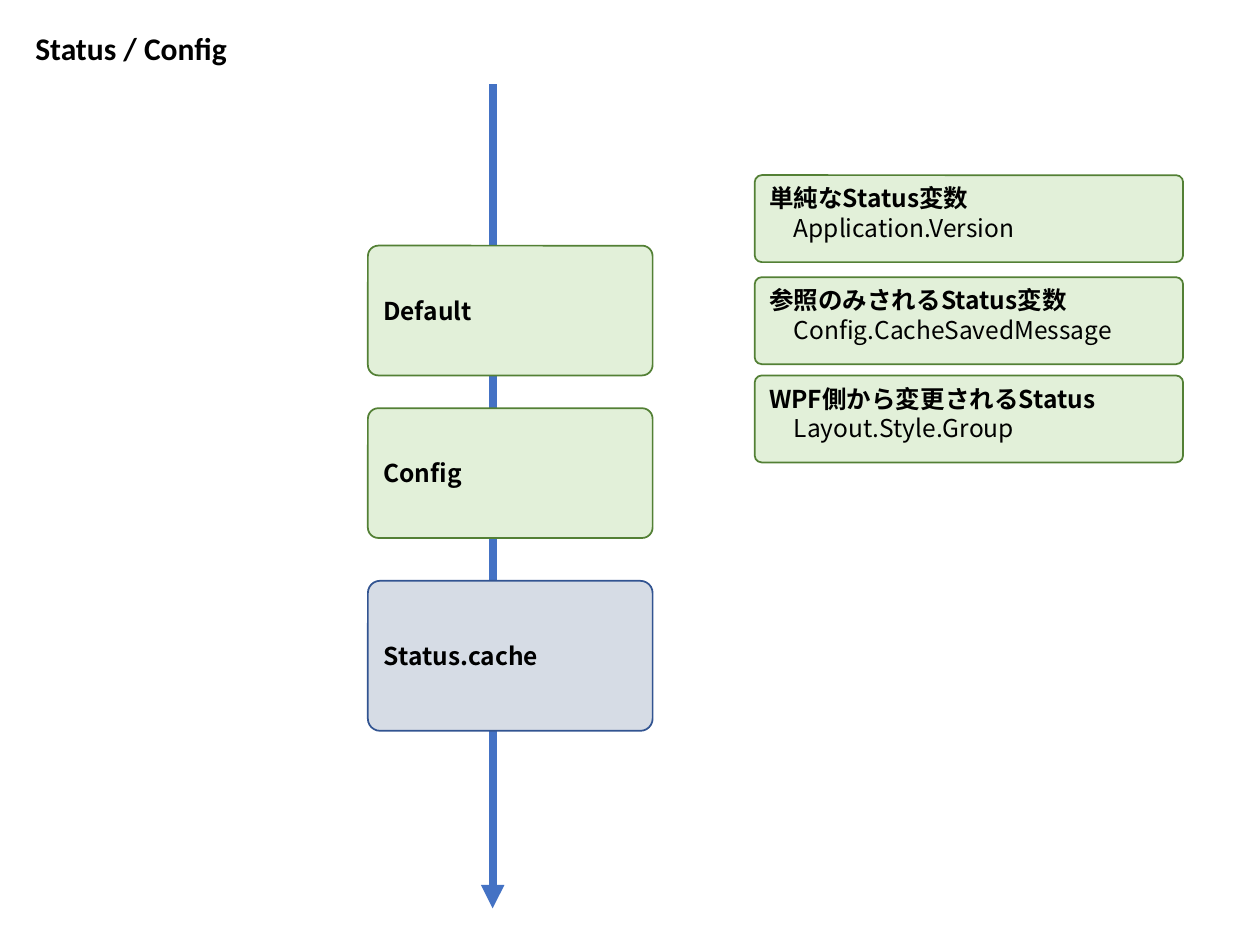
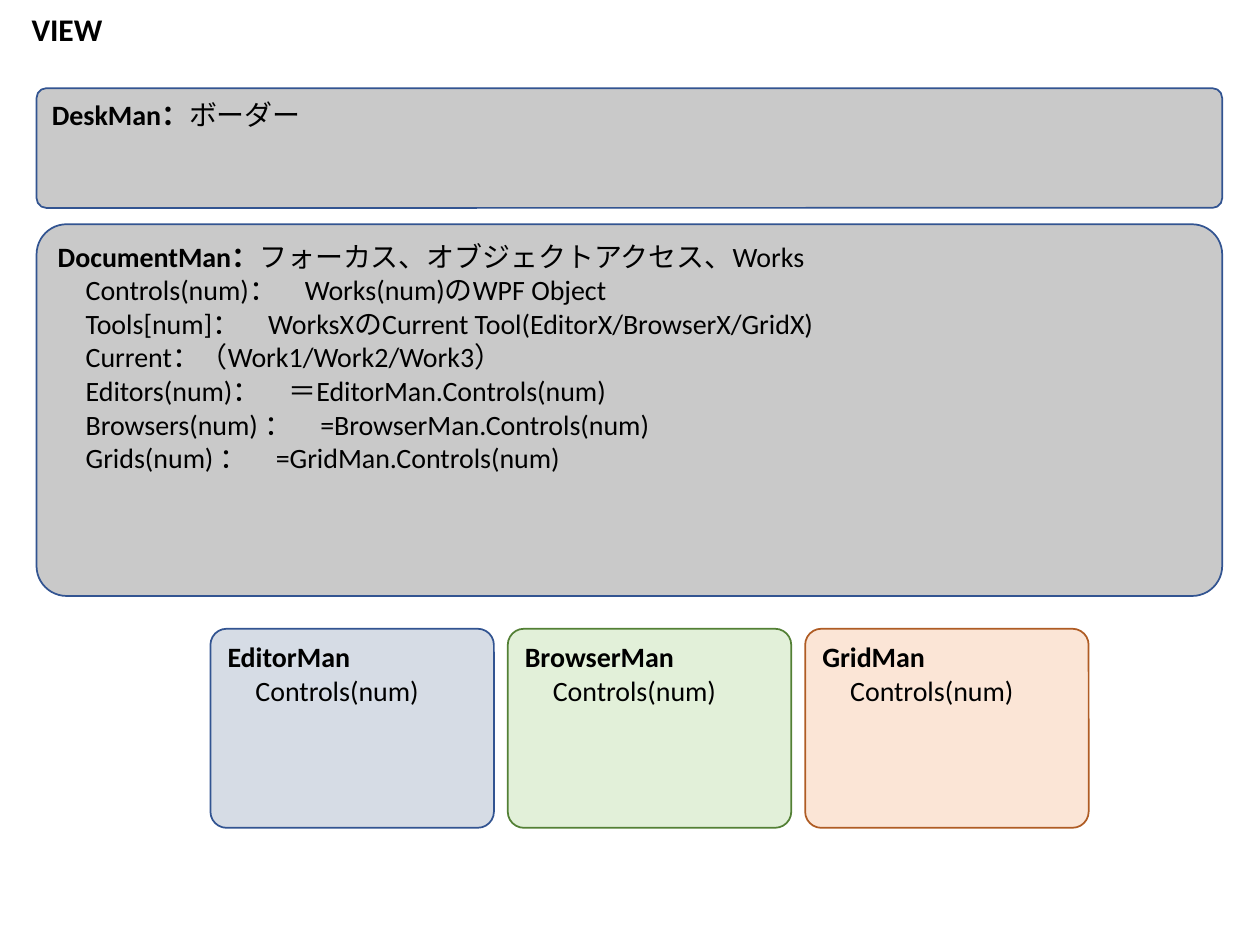
import pptx
import pptx.dml.color
import pptx.enum.shapes
import pptx.enum.text
import pptx.oxml.ns
import pptx.util
from lxml import etree

Inches, Pt = pptx.util.Inches, pptx.util.Pt
LEFT = pptx.enum.text.PP_ALIGN.LEFT
TOP = pptx.enum.text.MSO_ANCHOR.TOP
MIDDLE = pptx.enum.text.MSO_ANCHOR.MIDDLE
TITLE_ONLY = 5

# (fill, outline) of each kind of box
GREEN = ("E2F0D9", "538035")
BLUE = ("D6DCE5", "325491")
ORANGE = ("FBE5D6", "AF5C24")
GREY = ("C9C9C9", "325491")


def rgb(hex_string):
    return pptx.dml.color.RGBColor.from_string(hex_string)


class Deck:
    text_color = "000000"
    latin = "Calibri"
    cjk = "Noto Sans CJK JP"
    corner = 0.081

    def __init__(self):
        self.prs = pptx.Presentation()
        self.prs.slide_width, self.prs.slide_height = Inches(10), Inches(7.5)
        self.s = None

    def style(self, p, font, size, bold=None):
        p.alignment = LEFT
        p.font.name, p.font.size, p.font.bold = font, Pt(size), bold
        p.font.color.rgb = rgb(self.text_color)

    def slide(self, title, left, top):
        """Start a slide and place its title."""
        self.s = self.prs.slides.add_slide(self.prs.slide_layouts[TITLE_ONLY])
        sp = self.s.shapes.title
        sp.left, sp.top = Inches(left), Inches(top)
        sp.width, sp.height = Inches(5), Inches(0.4)
        tf = sp.text_frame
        tf.text = title
        tf.vertical_anchor = TOP
        tf.auto_size = pptx.enum.text.MSO_AUTO_SIZE.NONE
        self.style(tf.paragraphs[0], self.latin, 18, True)

    def box(self, left, top, width, height, colors, head, note="", lines=(),
            font=latin, size=16, anchor=TOP):
        """Rounded box: bold head with a plain note, then plain lines."""
        sp = self.s.shapes.add_shape(
            pptx.enum.shapes.MSO_SHAPE.ROUNDED_RECTANGLE,
            Inches(left), Inches(top), Inches(width), Inches(height))
        sp.adjustments[0] = self.corner
        sp.shadow.inherit = False
        fill, outline = colors
        sp.fill.solid()
        sp.fill.fore_color.rgb = rgb(fill)
        sp.line.color.rgb = rgb(outline)
        sp.line.width = Pt(1)
        tf = sp.text_frame
        tf.word_wrap = True
        tf.vertical_anchor = anchor
        p = tf.paragraphs[0]
        self.style(p, font, size)
        for text, bold in ((head, True), (note, False)):
            if text:
                r = p.add_run()
                r.text, r.font.bold = text, bold
        for line in lines:
            p = tf.add_paragraph()
            p.text = line
            self.style(p, font, size, False)

    def arrow(self, x, top, bottom, color, width):
        """Vertical arrow pointing down."""
        c = self.s.shapes.add_connector(
            pptx.enum.shapes.MSO_CONNECTOR.STRAIGHT,
            Inches(x), Inches(top), Inches(x), Inches(bottom))
        c.line.color.rgb = rgb(color)
        c.line.width = Pt(width)
        qn = pptx.oxml.ns.qn
        etree.SubElement(c.line._get_or_add_ln(), qn("a:tailEnd"), type="triangle")
        etree.SubElement(c._element.spPr, qn("a:effectLst"))


def status_slide(deck):
    deck.slide("Status / Config", 0.18, 0.18)

    # Flow from defaults to cache
    deck.arrow(3.91, 0.67, 7.21, "4472C4", 4.5)
    for head, top, height, colors in (("Default", 1.95, 1.03, GREEN),
                                      ("Config", 3.24, 1.03, GREEN),
                                      ("Status.cache", 4.61, 1.19, BLUE)):
        deck.box(2.92, top, 2.26, height, colors, head,
                 font=deck.cjk, size=14, anchor=MIDDLE)

    # Kinds of status variable
    for top, head, example in (
            (1.39, "単純なStatus変数", "　Application.Version"),
            (2.2, "参照のみされるStatus変数", "　Config.CacheSavedMessage"),
            (2.98, "WPF側から変更されるStatus", "　Layout.Style.Group")):
        deck.box(5.99, top, 3.4, 0.69, GREEN, head, lines=[example],
                 font=deck.cjk, size=14)


def view_slide(deck):
    deck.slide("VIEW", 0.15, 0.03)

    # Full-width managers
    deck.box(0.29, 0.7, 9.41, 0.95, GREY, "DeskMan：", "ボーダー")
    deck.box(0.29, 1.78, 9.41, 2.95, GREY, "DocumentMan：",
             "フォーカス、オブジェクトアクセス、Works", [
                 "　Controls(num)：　Works(num)のWPF Object",
                 "　Tools[num]：　WorksXのCurrent Tool(EditorX/BrowserX/GridX)",
                 "　Current：（Work1/Work2/Work3）",
                 "　Editors(num)：　＝EditorMan.Controls(num)",
                 "　Browsers(num) ：　=BrowserMan.Controls(num)",
                 "　Grids(num) ：　=GridMan.Controls(num)"])

    # Row of tool managers
    tools = (("EditorMan", BLUE), ("BrowserMan", GREEN), ("GridMan", ORANGE))
    for i, (head, colors) in enumerate(tools):
        deck.box(1.67 + 2.36 * i, 4.99, 2.25, 1.58, colors, head,
                 lines=["　Controls(num)"])


def main():
    deck = Deck()
    status_slide(deck)
    view_slide(deck)
    deck.prs.save("out.pptx")


if __name__ == "__main__":
    main()
